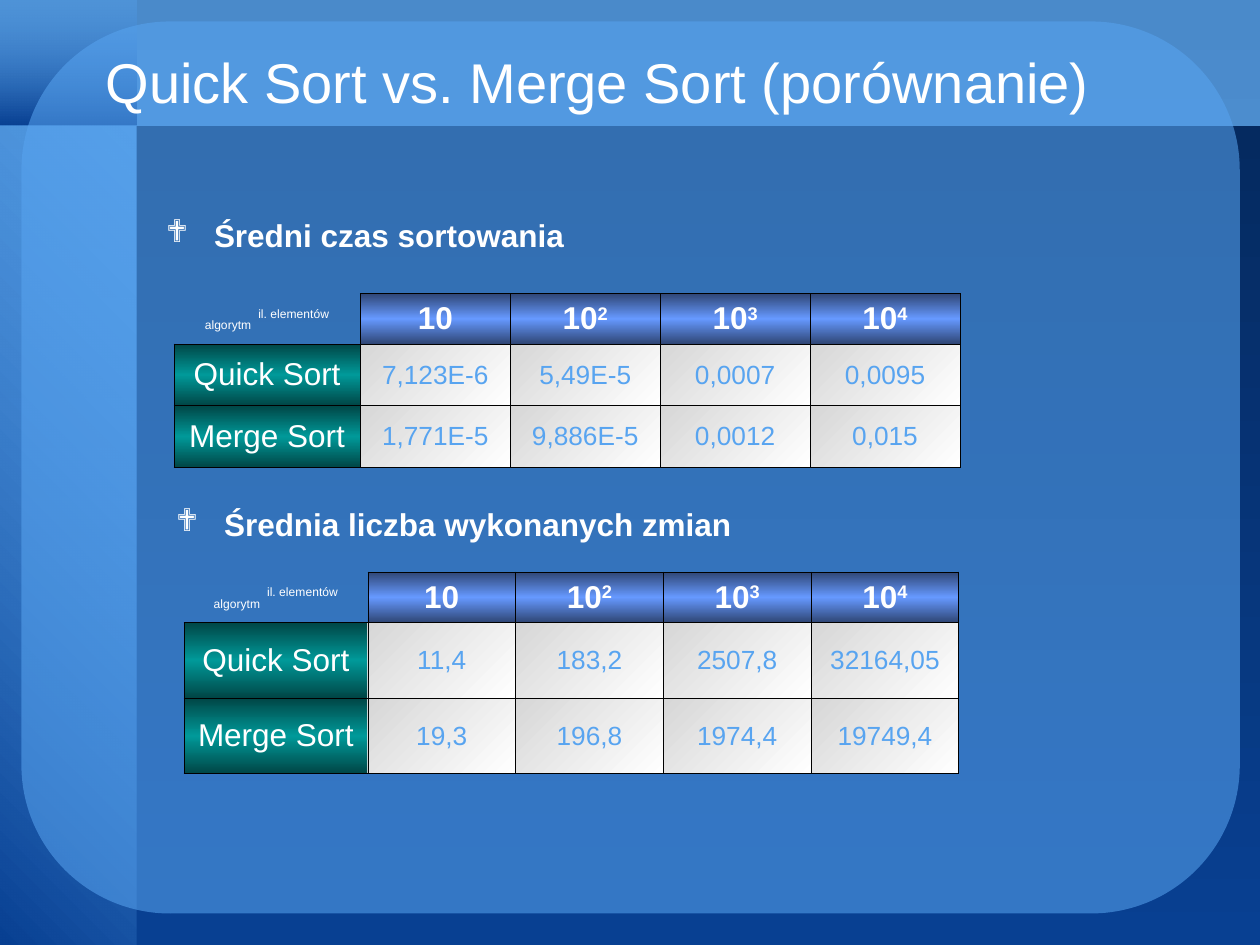
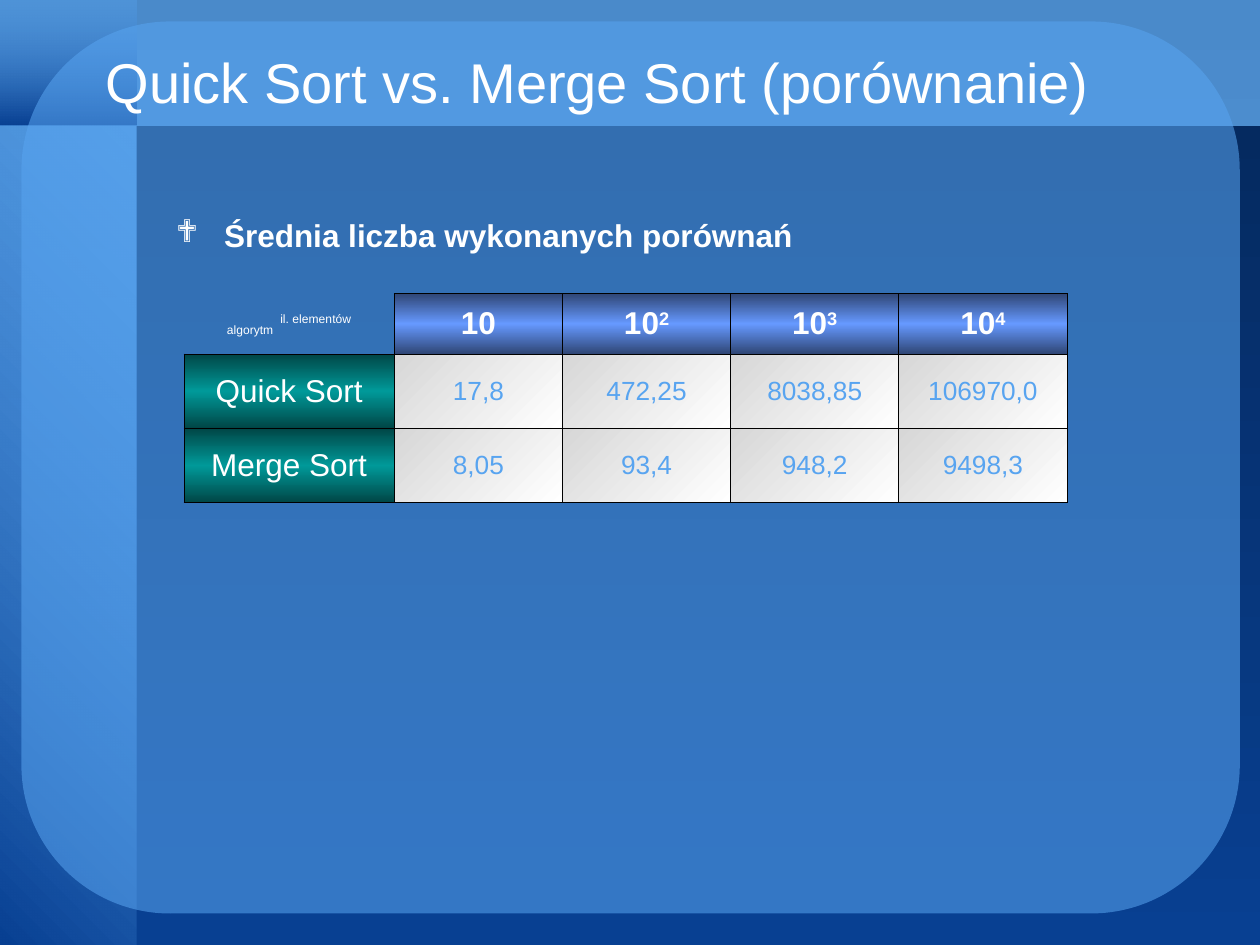
from lxml import etree
from pptx import Presentation
from pptx.dml.color import RGBColor
from pptx.enum.shapes import MSO_SHAPE
from pptx.enum.text import MSO_ANCHOR, MSO_AUTO_SIZE, PP_ALIGN
from pptx.oxml.ns import qn
from pptx.util import Inches, Pt

RECTANGLE, ROUNDED = MSO_SHAPE.RECTANGLE, MSO_SHAPE.ROUNDED_RECTANGLE
LEFT, CENTER, MIDDLE = PP_ALIGN.LEFT, PP_ALIGN.CENTER, MSO_ANCHOR.MIDDLE
NO_FIT, GROW = MSO_AUTO_SIZE.NONE, MSO_AUTO_SIZE.SHAPE_TO_FIT_TEXT

# Colours and fonts
WHITE = RGBColor(0xFF, 0xFF, 0xFF)
BLACK = RGBColor(0x00, 0x00, 0x00)
SILVER = RGBColor(0xD7, 0xD7, 0xD7)
SKY = RGBColor(0x58, 0xA4, 0xF0)
STEEL = RGBColor(0x4A, 0x8A, 0xCA)
ROYAL = RGBColor(0x08, 0x40, 0x92)
NAVY = RGBColor(0x05, 0x2A, 0x60)
SLATE = RGBColor(0x2F, 0x46, 0x75)
CORNFLOWER = RGBColor(0x66, 0x99, 0xFF)
TEAL = RGBColor(0x00, 0x99, 0x99)
DARK_TEAL = RGBColor(0x00, 0x46, 0x46)

FONT = "Arial"
TITLE_FONT = {"name": FONT, "size": Pt(32), "bold": False}
LABEL_FONT = {"name": FONT, "size": Pt(18), "bold": True}
CORNER_FONT = {"name": FONT, "size": Pt(12), "bold": False}
ROW_FONT = {"name": FONT, "size": Pt(18), "bold": False}
VALUE_FONT = {"name": FONT, "size": Pt(15), "bold": False}

# Fills: stops of (position, colour, opacity), then the angle; one stop is solid
BACKGROUND = ([(0, STEEL, 100), (100, SKY, 100)], 90)
HEADER_FILL = ([(0, SLATE, 100), (50, CORNFLOWER, 100), (100, SLATE, 100)], 90)
ROW_FILL = ([(0, DARK_TEAL, 100), (50, TEAL, 100), (100, DARK_TEAL, 100)], 90)
VALUE_FILL = ([(0, WHITE, 100), (100, SILVER, 100)], 225)

BANDS = [
    (RECTANGLE, (0, 0, 1.08, 1), ([(0, SKY, 35), (100, ROYAL, 100)], 90)),
    (RECTANGLE, (1.08, 1, 8.92, 6.5), ([(0, NAVY, 100), (100, ROYAL, 100)], 90)),
    (RECTANGLE, (0, 1, 1.08, 6.5), ([(0, SKY, 59), (100, ROYAL, 100)], 135)),
    (ROUNDED, (0.17, 0.17, 9.67, 7.08), ([(0, SKY, 56)], 0)),
]

# Content
TITLE = "Quick Sort vs. Merge Sort (porównanie)"
TITLE_BOX = (0.58, 0.33, 8.33, 0.62)
CORNER = [("algorytm ", -25), (" il. elementów", 30)]
HEADERS = [
    [("10", 0)],
    [("10", 0), ("2", 30)],
    [("10", 0), ("3", 30)],
    [("10", 0), ("4", 30)],
]
SLIDES = [
    [
        {
            "label": "Średni czas sortowania",
            "label_box": (1.22, 1.7, 3.35, 0.37),
            "origin": (1.38, 2.33),
            "width": 6.24,
            "name_width": 1.48,
            "row_heights": (0.4, 0.49, 0.49),
            "rows": [
                ("Quick Sort", "7,123E-6", "5,49E-5", "0,0007", "0,0095"),
                ("Merge Sort", "1,771E-5", "9,886E-5", "0,0012", "0,015"),
            ],
        },
        {
            "label": "Średnia liczba wykonanych zmian",
            "label_box": (1.3, 3.99, 4.6, 0.37),
            "origin": (1.46, 4.54),
            "width": 6.15,
            "name_width": 1.46,
            "row_heights": (0.4, 0.6, 0.6),
            "rows": [
                ("Quick Sort", "11,4", "183,2", "2507,8", "32164,05"),
                ("Merge Sort", "19,3", "196,8", "1974,4", "19749,4"),
            ],
        },
    ],
    [
        {
            "label": "Średnia liczba wykonanych porównań",
            "label_box": (1.3, 1.7, 5.09, 0.37),
            "origin": (1.46, 2.33),
            "width": 7.01,
            "name_width": 1.67,
            "row_heights": (0.48, 0.59, 0.59),
            "rows": [
                ("Quick Sort", "17,8", "472,25", "8038,85", "106970,0"),
                ("Merge Sort", "8,05", "93,4", "948,2", "9498,3"),
            ],
        },
    ],
]


def inches(values):
    return [Inches(value) for value in values]


def add_color(parent, color, opacity=100):
    element = etree.SubElement(parent, qn("a:srgbClr"), val=str(color))
    if opacity < 100:
        etree.SubElement(element, qn("a:alpha"), val=str(opacity * 1000))


def paint(fill, owner, look):
    """Fill with a solid colour or gradient; owner is the element that holds the fill."""
    stops, angle = look
    if len(stops) == 1:
        fill.solid()
        add_color(next(owner.iter(qn("a:solidFill"))), *stops[0][1:])
        return
    fill.gradient()
    grad_fill = next(owner.iter(qn("a:gradFill")))
    stop_list = grad_fill.find(qn("a:gsLst"))
    for stop in list(stop_list):
        stop_list.remove(stop)
    for position, color, opacity in stops:
        stop = etree.SubElement(stop_list, qn("a:gs"), pos=str(position * 1000))
        add_color(stop, color, opacity)
    grad_fill.find(qn("a:lin")).set("ang", str(angle * 60000))


def write_runs(paragraph, runs, font_values, color=WHITE, alignment=CENTER):
    paragraph.alignment = alignment
    for text, baseline in runs:
        run = paragraph.add_run()
        run.text = text
        for name, value in font_values.items():
            setattr(run.font, name, value)
        run.font.color.rgb = color
        if baseline:
            run.font._element.set("baseline", str(baseline * 1000))


def dress_layout(layout, slide):
    """Give the layout its background, bands and title position."""
    paint(layout.background.fill, layout.element, BACKGROUND)
    title = layout.placeholders[0]
    title.left, title.top, title.width, title.height = inches(TITLE_BOX)
    for kind, box, look in BANDS:
        shape = slide.shapes.add_shape(kind, *inches(box))
        shape.shadow.inherit = False
        shape.line.fill.background()
        paint(shape.fill, shape.element, look)
        title.element.addprevious(shape.element)


def add_title(slide):
    frame = slide.shapes.title.text_frame
    frame.auto_size = NO_FIT
    frame.vertical_anchor = MIDDLE
    write_runs(frame.paragraphs[0], [(TITLE, 0)], TITLE_FONT)


def add_label(slide, text, box):
    frame = slide.shapes.add_textbox(*inches(box)).text_frame
    frame.word_wrap = True
    frame.auto_size = GROW
    frame.margin_right = 0
    paragraph = frame.paragraphs[0]
    properties = paragraph._p.get_or_add_pPr()
    properties.set("marL", str(Inches(0.38)))
    properties.set("indent", str(-Inches(0.38)))
    add_color(etree.SubElement(properties, qn("a:buClr")), WHITE)
    etree.SubElement(properties, qn("a:buFont"), typeface="Wingdings", charset="2")
    etree.SubElement(properties, qn("a:buChar"), char="❖")
    paragraph.line_spacing = 0.9
    write_runs(paragraph, [(text, 0)], LABEL_FONT, alignment=LEFT)


def set_borders(cell, drawn_sides):
    properties = cell._tc.get_or_add_tcPr()
    for side in "LRTB":
        line = etree.SubElement(properties, qn("a:ln" + side), w=str(Pt(0.45)))
        if side in drawn_sides:
            add_color(etree.SubElement(line, qn("a:solidFill")), BLACK)
        else:
            etree.SubElement(line, qn("a:noFill"))


def fill_cell(cell, runs, font_values, look=None, color=WHITE):
    cell.vertical_anchor = MIDDLE
    set_borders(cell, "LRTB" if look else "RB")
    if look:
        paint(cell.fill, cell._tc, look)
    else:
        cell.fill.background()
    write_runs(cell.text_frame.paragraphs[0], runs, font_values, color)


def add_results_table(slide, section):
    heights = section["row_heights"]
    value_width = (section["width"] - section["name_width"]) / len(HEADERS)
    size = inches((*section["origin"], section["width"], sum(heights)))
    table = slide.shapes.add_table(len(heights), len(HEADERS) + 1, *size).table
    table.first_row = table.horz_banding = False
    for row, height in zip(table.rows, heights):
        row.height = Inches(height)
    for index, column in enumerate(table.columns):
        column.width = Inches(value_width if index else section["name_width"])

    fill_cell(table.cell(0, 0), CORNER, CORNER_FONT)
    for column, runs in enumerate(HEADERS, 1):
        fill_cell(table.cell(0, column), runs, LABEL_FONT, HEADER_FILL)
    for row, (algorithm, *values) in enumerate(section["rows"], 1):
        fill_cell(table.cell(row, 0), [(algorithm, 0)], ROW_FONT, ROW_FILL)
        for column, value in enumerate(values, 1):
            fill_cell(table.cell(row, column), [(value, 0)], VALUE_FONT, VALUE_FILL, SKY)


def main():
    presentation = Presentation()
    presentation.slide_width, presentation.slide_height = inches((10, 7.5))
    layout = presentation.slide_layouts.get_by_name("Title Only")
    for index, sections in enumerate(SLIDES):
        slide = presentation.slides.add_slide(layout)
        if index == 0:
            dress_layout(layout, slide)
        add_title(slide)
        for section in sections:
            add_label(slide, section["label"], section["label_box"])
            add_results_table(slide, section)
    presentation.save("out.pptx")


if __name__ == "__main__":
    main()
